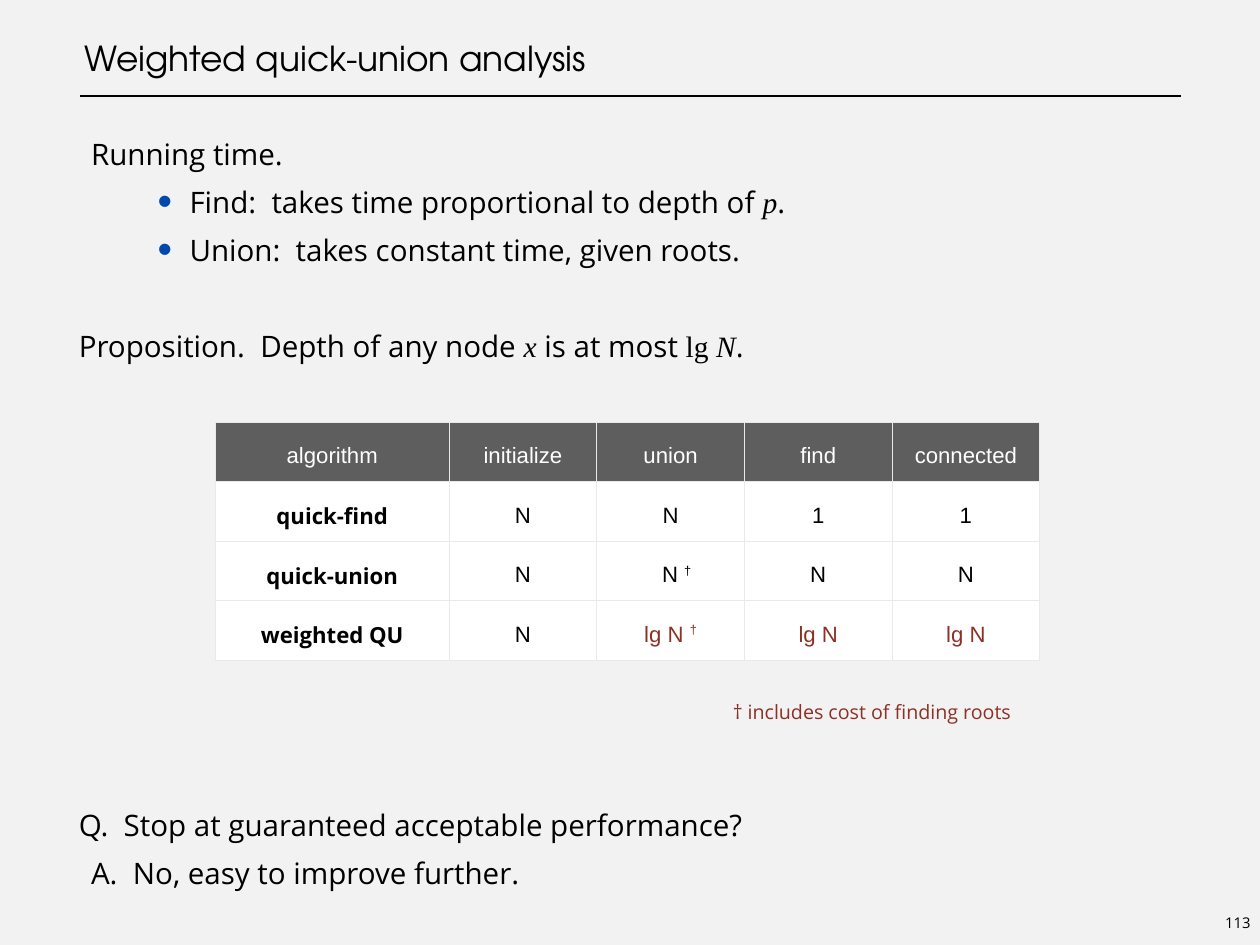
from lxml.etree import SubElement
from pptx import Presentation
from pptx.dml.color import RGBColor
from pptx.enum.shapes import MSO_CONNECTOR as Line
from pptx.enum.text import MSO_ANCHOR as Anchor, MSO_AUTO_SIZE as Fit, PP_ALIGN as Align
from pptx.oxml.ns import qn
from pptx.util import Pt

BLACK, WHITE, RED, BLUE = "000000", "FFFFFF", "8D3124", "0048AA"
HEAD, RULE, PAPER = "5E5E5E", "E7EAEB", "F2F2F2"
SANS, SERIF, ARIAL = "Open Sans", "Times New Roman", "Arial"
LEFT, WIDTH, PITCH = 64, 896, 39

MATH = {"font": SERIF, "italic": True}
ABOVE = {"base": 32}
TOP = [
    (10, False, [("Running time.", {})]),
    (0, True, [("Find:  takes time proportional to depth of ", {}), ("p", MATH), (".", {})]),
    (0, True, [("Union:  takes constant time, given roots.", {})]),
]
CLAIM = [(0, False, [
    ("Proposition.  Depth of any node ", {}), ("x", MATH), (" is at most ", {}),
    ("lg ", {"font": SERIF}), ("N", MATH), (".", {})])]
END = [
    (0, False, [("Q.  Stop at guaranteed acceptable performance?", {})]),
    (10, False, [("A.  No, easy to improve further.", {})]),
]
COSTS = [
    ["algorithm", "initialize", "union", "find", "connected"],
    ["quick-find", "N", "N", "1", "1"],
    ["quick-union", "N", "N †", "N", "N"],
    ["weighted QU", "N", "lg N †", "lg N", "lg N"],
]


def color(code):
    return RGBColor.from_string(code)


def style(run, size, font=SANS, ink=BLACK, bold=False, italic=False, base=0):
    """Format a run; base raises it by that percentage."""
    face = run.font
    face.size, face.name = Pt(size), font
    face.bold, face.italic = bold, italic
    face.color.rgb = color(ink)
    if base:
        run._r.get_or_add_rPr().set("baseline", str(base * 1000))


def fill_para(para, parts, size, **look):
    """Add runs, each a text with what differs from the common look."""
    for text, extra in parts:
        run = para.add_run()
        run.text = text
        style(run, size, **{**look, **extra})


def indent(para, left, first=0):
    props = para._p.get_or_add_pPr()
    props.set("marL", str(Pt(left)))
    props.set("indent", str(Pt(first)))
    return props


def bullet(para):
    props = indent(para, 90, -26)
    tint = SubElement(props, qn("a:buClr"))
    SubElement(tint, qn("a:srgbClr"), val=BLUE)
    SubElement(props, qn("a:buSzPct"), val="140000")
    SubElement(props, qn("a:buFont"), typeface=ARIAL)
    SubElement(props, qn("a:buChar"), char="•")


def add_box(slide, x, y, w, h, inset=0, wrap=True):
    frame = slide.shapes.add_textbox(Pt(x), Pt(y), Pt(w), Pt(h)).text_frame
    frame.margin_left = frame.margin_right = Pt(inset)
    frame.margin_top = frame.margin_bottom = Pt(inset)
    frame.word_wrap = wrap
    frame.auto_size = Fit.NONE if wrap else Fit.SHAPE_TO_FIT_TEXT
    return frame


def add_title(slide, text):
    frame = add_box(slide, LEFT, 0, WIDTH, 64)
    frame.vertical_anchor = Anchor.BOTTOM
    frame.text = text
    indent(frame.paragraphs[0], 4.5)
    style(frame.paragraphs[0].runs[0], 28, "TeX Gyre Adventor")
    line = slide.shapes.add_connector(Line.STRAIGHT, Pt(65), Pt(78), Pt(960), Pt(78))
    line.line.color.rgb, line.line.width = color(BLACK), Pt(1)
    SubElement(line._element.spPr, qn("a:effectLst"))


def add_body(slide, row, items):
    """Place paragraphs from the given row of the line grid on."""
    frame = add_box(slide, LEFT, 100 + row * PITCH, WIDTH, len(items) * PITCH)
    for i, (first, dotted, parts) in enumerate(items):
        para = frame.add_paragraph() if i else frame.paragraphs[0]
        if dotted:
            bullet(para)
        else:
            indent(para, 0, first)
        para.line_spacing = Pt(PITCH)
        fill_para(para, parts, 24)


def add_note(slide):
    frame = add_box(slide, 587.5, 555, 256, 26, 4, False)
    frame.text = "† includes cost of finding roots"
    para = frame.paragraphs[0]
    indent(para, 4)
    para.line_spacing = 1.5
    style(para.runs[0], 16, ink=RED)


def add_number(slide, text):
    frame = add_box(slide, 991.5, 738.5, 29, 22, 4, False)
    frame.vertical_anchor = Anchor.MIDDLE
    frame.text = text
    frame.paragraphs[0].alignment = Align.CENTER
    style(frame.paragraphs[0].runs[0], 12)


def border(cell):
    props = cell._tc.get_or_add_tcPr()
    for side in ("lnL", "lnR", "lnT", "lnB"):
        edge = SubElement(props, qn("a:" + side), w=str(Pt(1)))
        paint = SubElement(edge, qn("a:solidFill"))
        SubElement(paint, qn("a:srgbClr"), val=RULE)


def fill_cell(cell, text, look, back):
    border(cell)
    cell.fill.solid()
    cell.fill.fore_color.rgb = color(back)
    cell.vertical_anchor = Anchor.MIDDLE
    cell.margin_left = cell.margin_right = Pt(4)
    cell.margin_top = cell.margin_bottom = Pt(4)
    para = cell.text_frame.paragraphs[0]
    indent(para, 10 if text == "N †" else 0)
    para.alignment, para.line_spacing = Align.CENTER, 1.3
    main, mark, _ = text.partition("†")
    parts = [(main, {})] + ([(mark, ABOVE)] if mark else [])
    fill_para(para, parts, 18, **look)


def add_costs(slide):
    rows, cols = len(COSTS), len(COSTS[0])
    table = slide.shapes.add_table(rows, cols, Pt(175), Pt(343.2), Pt(670), Pt(193.6)).table
    table.first_row = table.horz_banding = False
    for c, col in enumerate(table.columns):
        col.width = Pt(120 if c else 190)
    for r, names in enumerate(COSTS):
        table.rows[r].height = Pt(48.4)
        for c, text in enumerate(names):
            look = {"font": ARIAL}
            if r == 0:
                look["ink"] = WHITE
            elif c == 0:
                look = {"bold": True}
            elif text.startswith("lg"):
                look["ink"] = RED
            fill_cell(table.cell(r, c), text, look, WHITE if r else HEAD)


def main():
    deck = Presentation()
    deck.slide_width, deck.slide_height = Pt(1024), Pt(768)
    slide = deck.slides.add_slide(deck.slide_layouts[6])
    back = slide.background.fill
    back.solid()
    back.fore_color.rgb = color(PAPER)
    add_title(slide, "Weighted quick-union analysis")
    for row, items in ((0, TOP), (4, CLAIM), (14, END)):
        add_body(slide, row, items)
    add_note(slide)
    add_number(slide, "113")
    add_costs(slide)
    deck.save("out.pptx")


if __name__ == "__main__":
    main()
